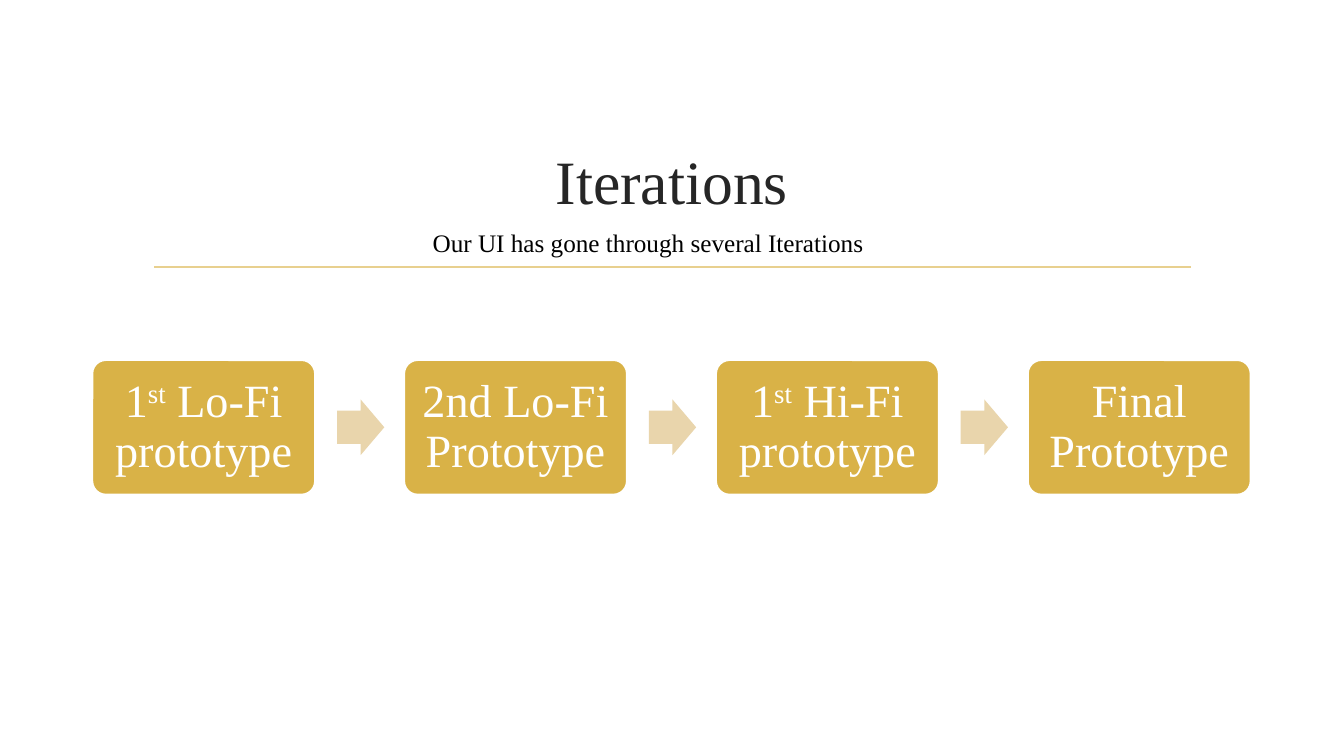
from dataclasses import dataclass

from pptx import Presentation
from pptx.dml.color import RGBColor
from pptx.enum.shapes import MSO_CONNECTOR as Connector, MSO_SHAPE as Shape
from pptx.enum.text import MSO_ANCHOR as Anchor, PP_ALIGN as Align
from pptx.oxml.ns import qn
from pptx.util import Pt
from lxml.etree import SubElement

PX = 9525


@dataclass(frozen=True)
class Theme:
    font: str = "Times New Roman"
    title: str = "262626"
    body: str = "000000"
    white: str = "FFFFFF"
    card: str = "D9B247"
    arrow: str = "E9D5AC"
    rule: str = "E8D08F"
    title_size: int = 44
    card_size: int = 33
    body_size: int = 18
    line_width: float = 1.25


THEME = Theme()
STEPS = [
    [("1", False), ("st", True), (" Lo-Fi prototype", False)],
    [("2nd Lo-Fi Prototype", False)],
    [("1", False), ("st", True), (" Hi-Fi prototype", False)],
    [("Final Prototype", False)],
]


def px(*lengths):
    return [round(length * PX) for length in lengths]


def rgb(value):
    return RGBColor.from_string(value)


def write(shape, runs, size, color, align, anchor, inset_x=10, inset_y=5):
    frame = shape.text_frame
    frame.word_wrap = True
    frame.vertical_anchor = anchor
    frame.margin_left, frame.margin_right = px(inset_x, inset_x)
    frame.margin_top, frame.margin_bottom = px(inset_y, inset_y)
    paragraph = frame.paragraphs[0]
    paragraph.alignment = align
    paragraph.font.name = THEME.font
    paragraph.font.size = Pt(size)
    paragraph.font.color.rgb = rgb(color)
    for text, raised in runs:
        run = paragraph.add_run()
        run.text = text
        if raised:
            run.font._element.set("baseline", "30000")
    return paragraph


def add_block(slide, kind, box, adjustments, color):
    shape = slide.shapes.add_shape(kind, *px(*box))
    shape.shadow.inherit = False
    for index, value in enumerate(adjustments):
        shape.adjustments[index] = value
    shape.fill.solid()
    shape.fill.fore_color.rgb = rgb(color)
    shape.line.fill.background()
    return shape


def add_heading(slide, left, top, width, height):
    rule_y = top + height
    rule = slide.shapes.add_connector(
        Connector.STRAIGHT, *px(left + 11, rule_y, left + width - 10, rule_y))
    rule.line.color.rgb = rgb(THEME.rule)
    rule.line.width = Pt(THEME.line_width)
    SubElement(rule._element.spPr, qn("a:effectLst"))
    title = slide.shapes.add_textbox(*px(left, top, width, 137))
    write(title, [("Iterations", False)], THEME.title_size, THEME.title,
          Align.CENTER, Anchor.MIDDLE)
    subtitle = slide.shapes.add_textbox(*px(left + 266, top + 108, 513, 38))
    write(subtitle, [("Our UI has gone through several Iterations", False)],
          THEME.body_size, THEME.body, Align.LEFT, Anchor.TOP)


def add_process(slide, left, top, width, height, steps):
    card_width, arrow_width, arrow_height = 212, 45, 53
    pitch = (width - card_width) / (len(steps) - 1)
    for index, runs in enumerate(steps):
        x = left + index * pitch
        card = add_block(slide, Shape.ROUNDED_RECTANGLE,
                         (x, top, card_width, height), [0.1], THEME.card)
        card.line.color.rgb = rgb(THEME.white)
        card.line.width = Pt(THEME.line_width)
        paragraph = write(card, runs, THEME.card_size, THEME.white,
                          Align.CENTER, Anchor.MIDDLE, 12, 12)
        paragraph.line_spacing = 0.9
        if index < len(steps) - 1:
            arrow_y = top + (height - arrow_height) / 2
            add_block(slide, Shape.RIGHT_ARROW,
                      (x + card_width + 21, arrow_y, arrow_width, arrow_height),
                      [0.6, 0.5], THEME.arrow)


def main():
    presentation = Presentation()
    presentation.slide_width, presentation.slide_height = px(1280, 720)
    slide = presentation.slides.add_slide(presentation.slide_layouts[6])
    add_heading(slide, 136, 103, 1008, 151)
    add_process(slide, 88, 343, 1103, 128, STEPS)
    presentation.save("out.pptx")


if __name__ == "__main__":
    main()
